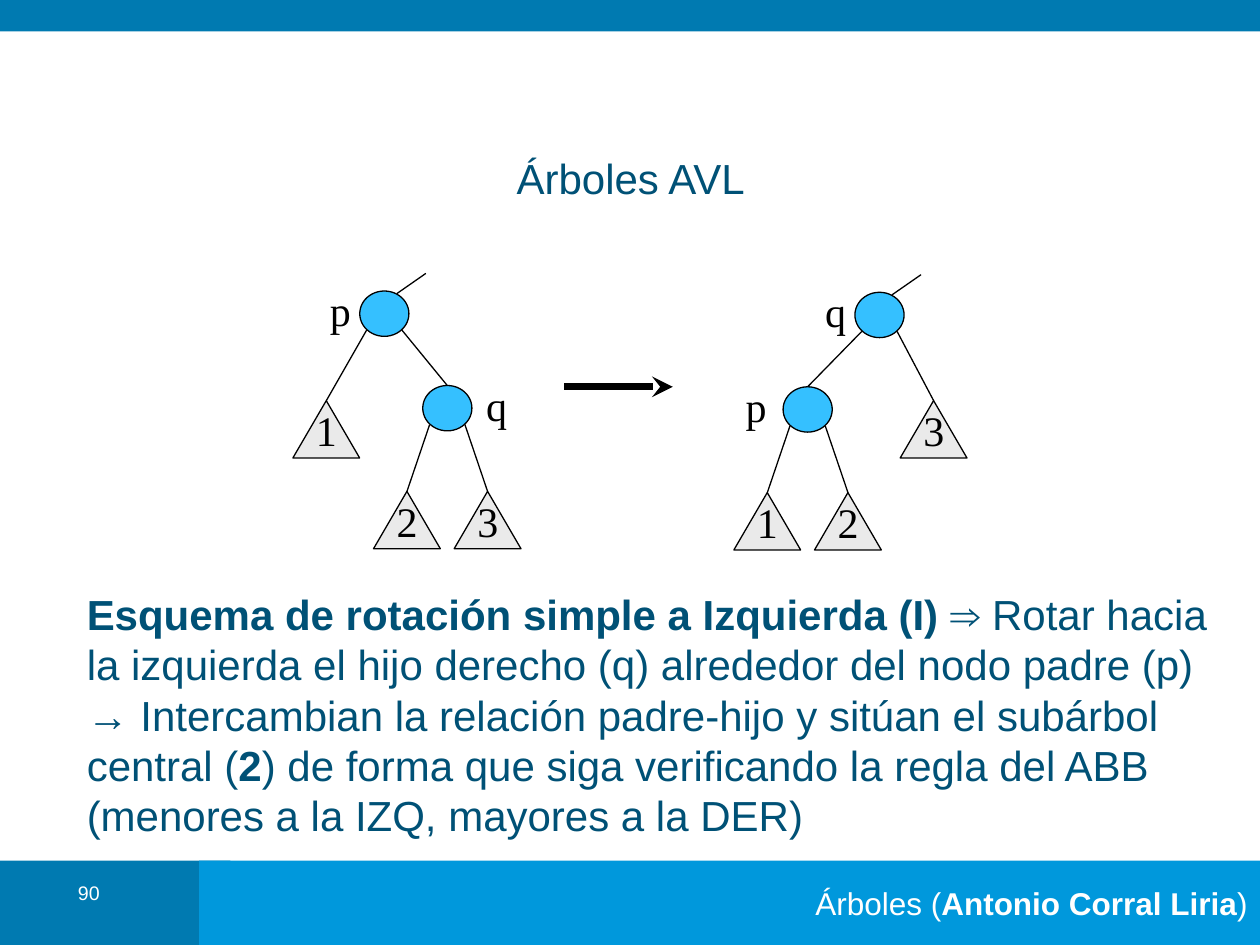
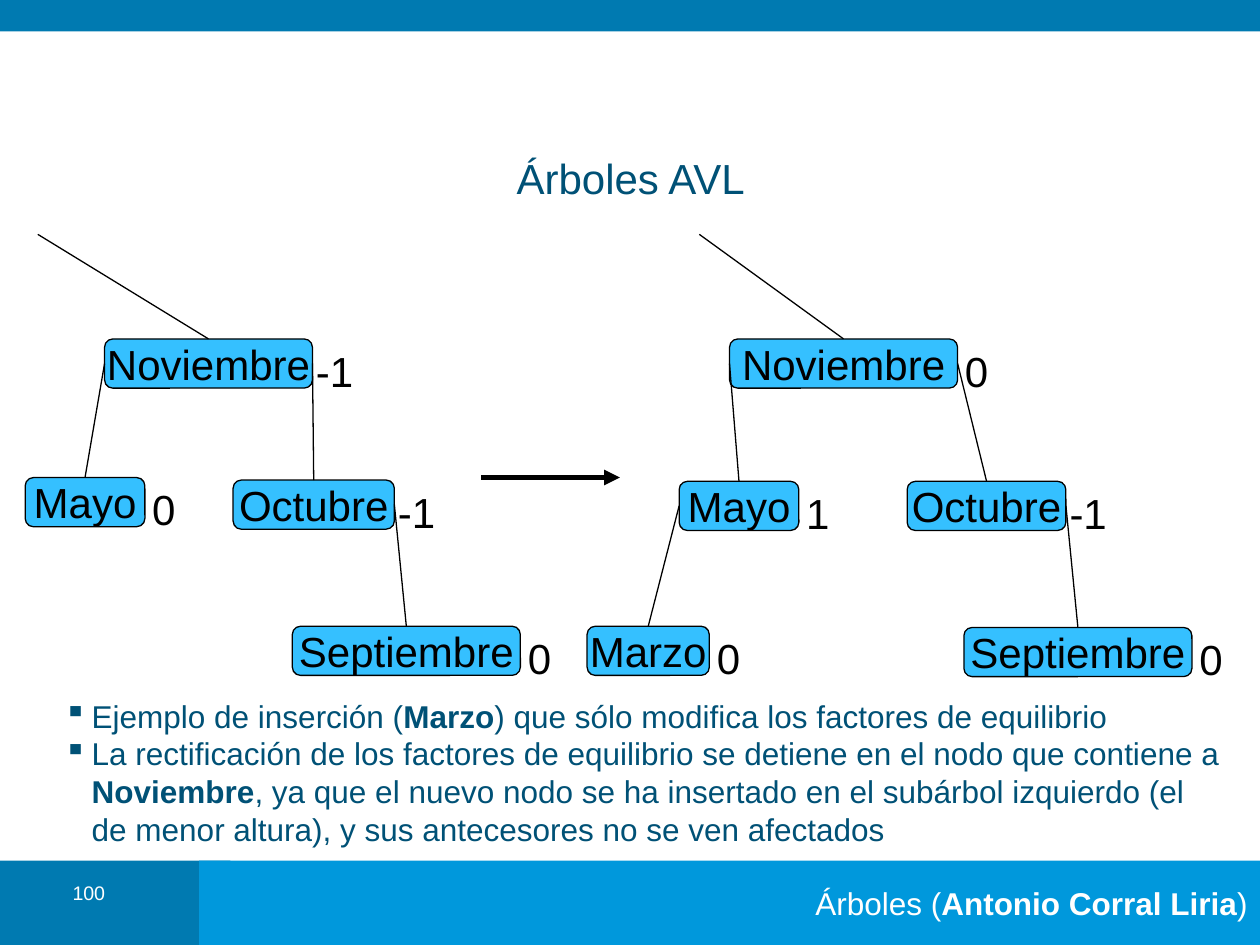
from lxml.etree import SubElement
from pptx import Presentation
from pptx.dml.color import RGBColor
from pptx.enum.shapes import MSO_CONNECTOR, MSO_SHAPE
from pptx.enum.text import MSO_ANCHOR, PP_ALIGN
from pptx.oxml.ns import qn
from pptx.util import Inches, Pt

DARK, BLUE, SKY = "007AB1", "0098DC", "35C0FF"
INK, GRAY, BLACK, WHITE = "005176", "EAEAEA", "000000", "FFFFFF"
SANS, SERIF = "Arial", "Times New Roman"
LEFT, MID, RIGHT = PP_ALIGN.LEFT, PP_ALIGN.CENTER, PP_ALIGN.RIGHT
TOP, BOTTOM = 0, 2
SIDE = {"left": 1, "right": 3}


def rgb(code):
    return RGBColor.from_string(code)


def write(shape, text, size=24, font=SANS, color=BLACK, align=LEFT,
          anchor=MSO_ANCHOR.TOP, wrap=True, space=None, bullet=None):
    """Fill a shape with text; ** switches bold, a line break starts a paragraph."""
    frame = shape.text_frame
    frame.word_wrap = wrap
    frame.vertical_anchor = anchor
    for i, line in enumerate(text.split("\n")):
        para = frame.add_paragraph() if i else frame.paragraphs[0]
        para.alignment = align
        if space:
            para.line_spacing = space
        if bullet:
            props = para._p.get_or_add_pPr()
            props.set("marL", str(Inches(0.22)))
            props.set("indent", str(-Inches(0.22)))
            SubElement(props, qn("a:buChar")).set("char", bullet)
        for k, part in enumerate(line.split("**")):
            if part:
                run = para.add_run()
                run.text = part
                run.font.size, run.font.name = Pt(size), font
                run.font.bold = k % 2 == 1
                run.font.color.rgb = rgb(color)
    return shape


def label(slide, x, y, w, h, text, **style):
    box = slide.shapes.add_textbox(Inches(x), Inches(y), Inches(w), Inches(h))
    return write(box, text, **style)


def block(slide, kind, x, y, w, h, fill, edge=True):
    shape = slide.shapes.add_shape(kind, Inches(x), Inches(y), Inches(w), Inches(h))
    shape.shadow.inherit = False
    shape.fill.solid()
    shape.fill.fore_color.rgb = rgb(fill)
    if edge:
        shape.line.color.rgb = rgb(BLACK)
        shape.line.width = Pt(0.75)
    else:
        shape.line.fill.background()
    return shape


def link(slide, start, end, width=0.75, head=None):
    """Draw a line; each end is a point or a (shape, site) pair."""
    line = slide.shapes.add_connector(MSO_CONNECTOR.STRAIGHT, 0, 0, 0, 0)
    if isinstance(start[0], (int, float)):
        line.begin_x, line.begin_y = Inches(start[0]), Inches(start[1])
    else:
        line.begin_connect(*start)
    if isinstance(end[0], (int, float)):
        line.end_x, line.end_y = Inches(end[0]), Inches(end[1])
    else:
        line.end_connect(*end)
    line.line.color.rgb = rgb(BLACK)
    line.line.width = Pt(width)
    props = line._element.spPr
    if head:
        SubElement(props.get_or_add_ln(), qn("a:tailEnd")).set("type", head)
    SubElement(props, qn("a:effectLst"))


def base(deck, page):
    """Add a slide with its bands, footer, page number and title."""
    slide = deck.slides.add_slide(deck.slide_layouts[6])
    rect = MSO_SHAPE.RECTANGLE
    block(slide, rect, 0, 6.83, 1.83, 0.67, DARK, edge=False)
    foot = block(slide, rect, 1.58, 6.83, 8.42, 0.67, BLUE, edge=False)
    write(foot, "Árboles (**Antonio Corral Liria**)", size=18, color=WHITE,
          align=RIGHT, anchor=MSO_ANCHOR.MIDDLE)
    block(slide, rect, 0, 0, 10, 0.25, DARK, edge=False)
    label(slide, 0.35, 6.98, 0.71, 0.32, str(page), size=11.2, color=WHITE,
          align=MID, space=0.8)
    label(slide, 0.83, 1.2, 8.35, 0.42, "Árboles AVL", color=INK, align=MID,
          anchor=MSO_ANCHOR.MIDDLE)
    return slide


def mark(slide, x, y, text):
    """Centre a serif letter or digit on a point."""
    label(slide, x - 0.18, y - 0.25, 0.36, 0.5, text, font=SERIF, align=MID,
          anchor=MSO_ANCHOR.MIDDLE, wrap=False)


def ball(slide, x, y, name, gap):
    mark(slide, x + gap, y - 0.03, name)
    return block(slide, MSO_SHAPE.OVAL, x - 0.195, y - 0.18, 0.39, 0.36, SKY)


def leaf(slide, x, y, name):
    """Place a subtree triangle with its apex at the point."""
    shape = block(slide, MSO_SHAPE.ISOSCELES_TRIANGLE, x - 0.265, y, 0.53, 0.455, GRAY)
    mark(slide, x, y + 0.23, name)
    return shape


def scheme(slide, x, y, root, inner, outer, pair):
    """Draw a root with an inner node (two leaves) and one outer leaf."""
    rx, ry, *rname = root
    nx, ny, *nname = inner
    ox, oy, oname = outer
    rx, nx, ox = x + rx, x + nx, x + ox
    ry, ny, oy = y + ry, y + ny, y + oy
    ball(slide, rx, ry, *rname)
    node = ball(slide, nx, ny, *nname)
    lone = leaf(slide, ox, oy, oname)
    link(slide, (rx + 0.1, ry - 0.16), (rx + 0.33, ry - 0.32))
    kids = [(rx, ry, nx, node), (rx, ry, ox, lone)]
    for step, name in zip((-0.32, 0.32), pair):
        kids.append((nx, ny, nx + step, leaf(slide, nx + step, ny + 0.66, name)))
    for px, py, kx, kid in kids:
        side = 0.14 if kx > px else -0.14
        link(slide, (px + side, py + 0.13), (kid, TOP))


def months(slide, x, y, stub, nodes):
    """Draw a tree of named boxes, each with its balance factor; the root is first."""
    made = {}
    for name, (dx, dy, w, factor, *_) in nodes.items():
        box = block(slide, MSO_SHAPE.ROUNDED_RECTANGLE, x + dx, y + dy, w, 0.39, SKY)
        made[name] = write(box, name, align=MID, anchor=MSO_ANCHOR.MIDDLE, wrap=False)
        wide = factor.startswith("-")
        label(slide, x + dx + w - (0.07 if wide else 0.04), y + dy,
              0.5 if wide else 0.39, 0.5, factor, wrap=False)
    for name, (*_, top, side) in nodes.items():
        start = (made[top], SIDE[side]) if top else (x + stub, y)
        link(slide, start, (made[name], TOP))


def rotation(deck):
    slide = base(deck, 90)
    link(slide, (4.48, 3.07), (5.34, 3.07), width=4, head="stealth")
    scheme(slide, 2.32, 2.17, (0.73, 0.32, "p", -0.35), (1.23, 1.07, "q", 0.39),
           (0.27, 1.01, "1"), "23")
    scheme(slide, 5.81, 2.17, (1.17, 0.33, "q", -0.35), (0.6, 1.08, "p", -0.41),
           (1.6, 1.01, "3"), "12")
    label(slide, 0.59, 4.62, 9.11, 2.12,
          "**Esquema de rotación simple a Izquierda (I) **⇒ Rotar hacia la izquierda "
          "el hijo derecho (q) alrededor del nodo padre (p) → Intercambian la relación "
          "padre-hijo y sitúan el subárbol central (**2**) de forma que siga verificando "
          "la regla del ABB (menores a la IZQ, mayores a la DER)", color=INK)


def insertion(deck):
    slide = base(deck, 100)
    months(slide, 0.2, 1.86, 0.1, {
        "Noviembre": (0.63, 0.83, 1.65, "-1", None, None),
        "Mayo": (0, 1.93, 0.95, "0", "Noviembre", "left"),
        "Octubre": (1.65, 1.95, 1.28, "-1", "Noviembre", "right"),
        "Septiembre": (2.12, 3.11, 1.81, "0", "Octubre", "right"),
    })
    months(slide, 4.66, 1.86, 0.89, {
        "Noviembre": (1.13, 0.83, 1.81, "0", None, None),
        "Mayo": (0.73, 1.96, 0.95, "1", "Noviembre", "left"),
        "Octubre": (2.54, 1.96, 1.26, "-1", "Noviembre", "right"),
        "Marzo": (0, 3.11, 0.97, "0", "Mayo", "left"),
        "Septiembre": (2.99, 3.12, 1.81, "0", "Octubre", "right"),
    })
    link(slide, (3.82, 3.79), (4.92, 3.79), width=3, head="triangle")
    label(slide, 0.41, 5.48, 9.4, 1.3,
          "Ejemplo de inserción (**Marzo**) que sólo modifica los factores de equilibrio\n"
          "La rectificación de los factores de equilibrio se detiene en el nodo que "
          "contiene a **Noviembre**, ya que el nuevo nodo se ha insertado en el subárbol "
          "izquierdo (el de menor altura), y sus antecesores no se ven afectados",
          size=18, color=INK, bullet="▪")


def main():
    deck = Presentation()
    deck.slide_width, deck.slide_height = Inches(10), Inches(7.5)
    rotation(deck)
    insertion(deck)
    deck.save("out.pptx")


if __name__ == "__main__":
    main()
